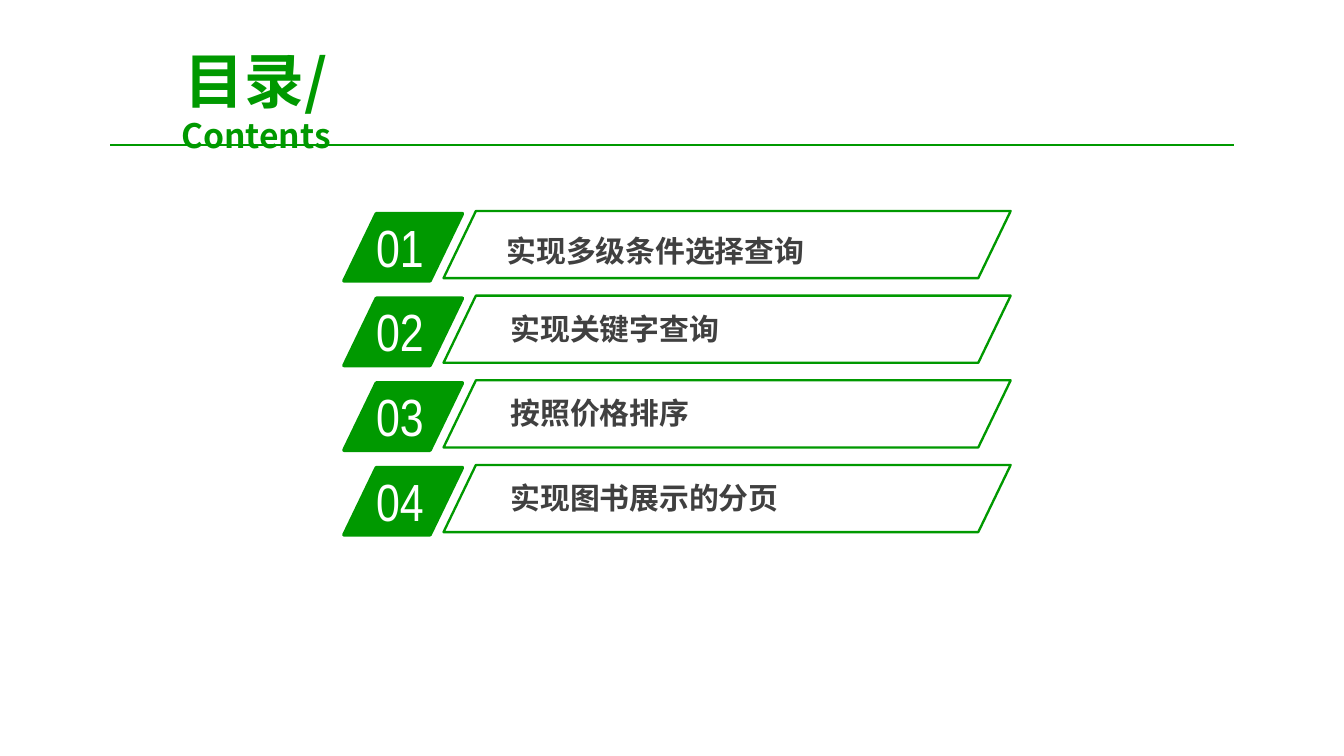
import pptx
import pptx.util
import pptx.dml.color
import pptx.enum.shapes
import pptx.enum.text
import pptx.oxml.ns
import lxml.etree

COLORS = {"green": "009900", "white": "FFFFFF", "text": "404040"}
CJK, NUMERAL = "Noto Sans CJK SC", "Arial Narrow"
TITLE = [("目录/", 32), ("Contents", 18)]
# number, topic, left and top shift of the topic
TOPICS = [
    ("01", "实现多级条件选择查询", -0.03, 0.05),
    ("02", "实现关键字查询", 0, 0),
    ("03", "按照价格排序", 0, 0),
    ("04", "实现图书展示的分页", 0, 0),
]
FIRST_ROW, PITCH = 1.59, 0.63
SLANT = 0.482

inch, pt = pptx.util.Inches, pptx.util.Pt
qn = pptx.oxml.ns.qn


def rgb(name):
    """Return a palette colour."""
    return pptx.dml.color.RGBColor.from_string(COLORS[name])


def style(font, face, size, color, bold=False):
    """Set face, size, colour and weight of a font."""
    font.name, font.size = face, pt(size)
    font.color.rgb = rgb(color)
    if bold:
        font.bold = True


def add_run(p, text, face, size, color, bold=False):
    """Add a styled run, using the face for East Asian characters too."""
    r = p.add_run()
    r.text = text
    style(r.font, face, size, color, bold)
    ea = lxml.etree.Element(qn("a:ea"), typeface=face)
    r.font._element.find(qn("a:latin")).addnext(ea)


def text_box(x, y, w, h, inset=(0.1, 0.05)):
    """Add a wrapping text box and return its frame."""
    tf = slide.shapes.add_textbox(inch(x), inch(y), inch(w), inch(h)).text_frame
    tf.word_wrap = True
    tf.margin_left = tf.margin_right = inch(inset[0])
    tf.margin_top = tf.margin_bottom = inch(inset[1])
    return tf


def parallelogram(x, y, w, h, width, filled):
    """Add a green slanted tile, solid or outlined."""
    sp = slide.shapes.add_shape(
        pptx.enum.shapes.MSO_SHAPE.PARALLELOGRAM, inch(x), inch(y), inch(w), inch(h))
    sp.adjustments[0] = SLANT
    sp.shadow.inherit = False
    sp.line.color.rgb = rgb("green")
    sp.line.width = pt(width)
    if filled:
        sp.fill.solid()
        sp.fill.fore_color.rgb = rgb("green")
        lxml.etree.SubElement(sp.line._get_or_add_ln(), qn("a:round"))
    else:
        sp.fill.background()


prs = pptx.Presentation()
prs.slide_width = inch(10)
prs.slide_height = prs.slide_width * 9 // 16
slide = prs.slides.add_slide(prs.slide_layouts[6])

tf = text_box(0.67, 0.47, 2.47, 0.54)
tf.vertical_anchor = pptx.enum.text.MSO_ANCHOR.MIDDLE
p = tf.paragraphs[0]
p.alignment = pptx.enum.text.PP_ALIGN.CENTER
before = lxml.etree.SubElement(p._p.get_or_add_pPr(), qn("a:spcBef"))
lxml.etree.SubElement(before, qn("a:spcPct"), val="20000")
for i, (text, size) in enumerate(TITLE):
    if i:
        p.add_line_break()
    add_run(p, text, CJK, size, "green", True)

rule = slide.shapes.add_connector(
    pptx.enum.shapes.MSO_CONNECTOR.STRAIGHT, inch(0.82), inch(1.08), inch(9.18), inch(1.08))
rule.line.color.rgb = rgb("green")
rule.line.width = pt(0.75)
lxml.etree.SubElement(rule._element.spPr, qn("a:effectLst"))

for i, (number, topic, dx, dy) in enumerate(TOPICS):
    y = FIRST_ROW + i * PITCH
    parallelogram(2.56, y, 0.88, 0.5, 2, True)
    tf = text_box(2.7, y - 0.04, 0.84, 0.57)
    add_run(tf.paragraphs[0], number, NUMERAL, 28, "white")
    tf = text_box(3.73 + dx, y + 0.05 + dy, 3.37, 0.35, (0.07, 0.04))
    add_run(tf.paragraphs[0], topic, CJK, 16, "text", True)
    parallelogram(3.3, y - 0.02, 4.22, 0.5, 1.25, False)

prs.save("out.pptx")
